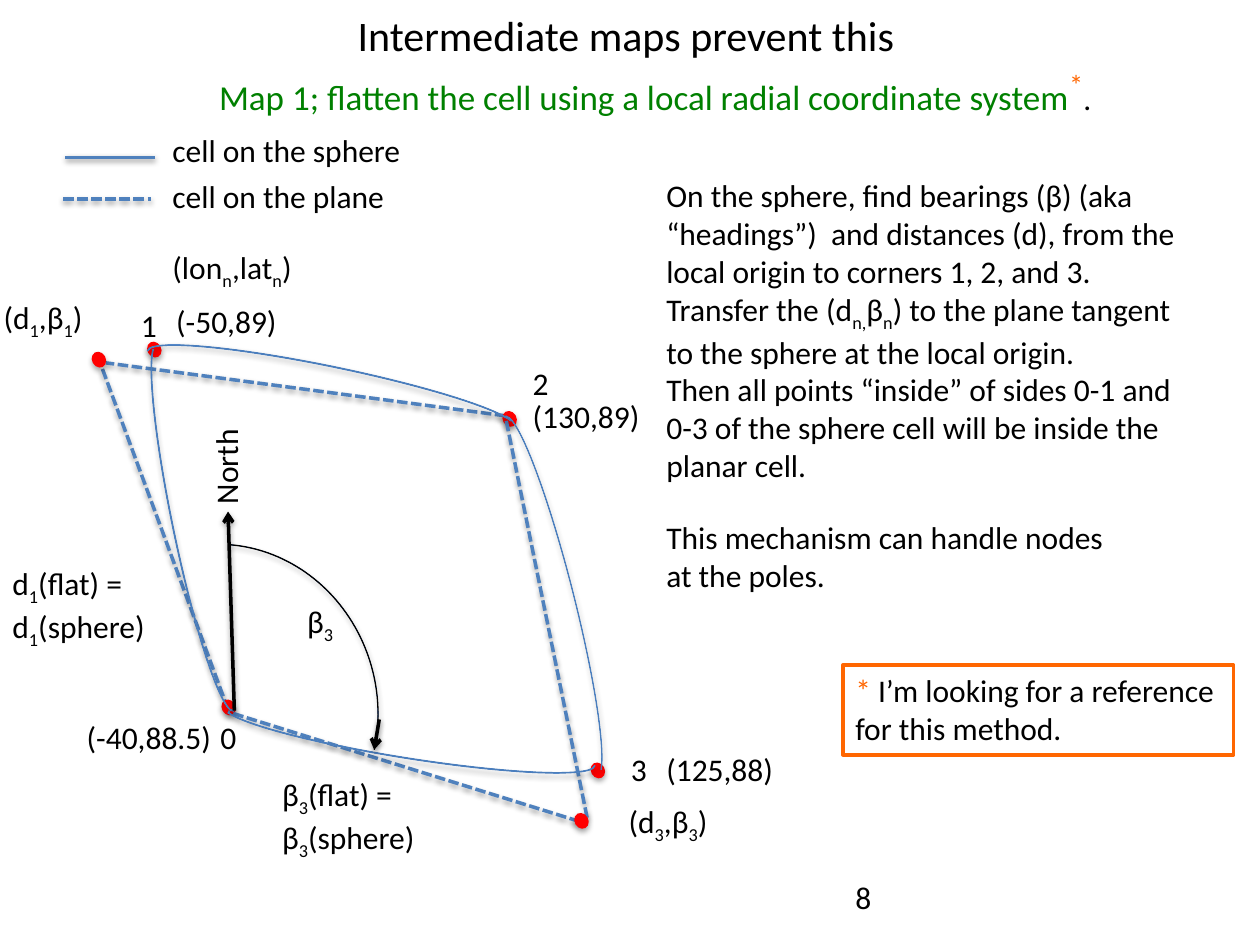
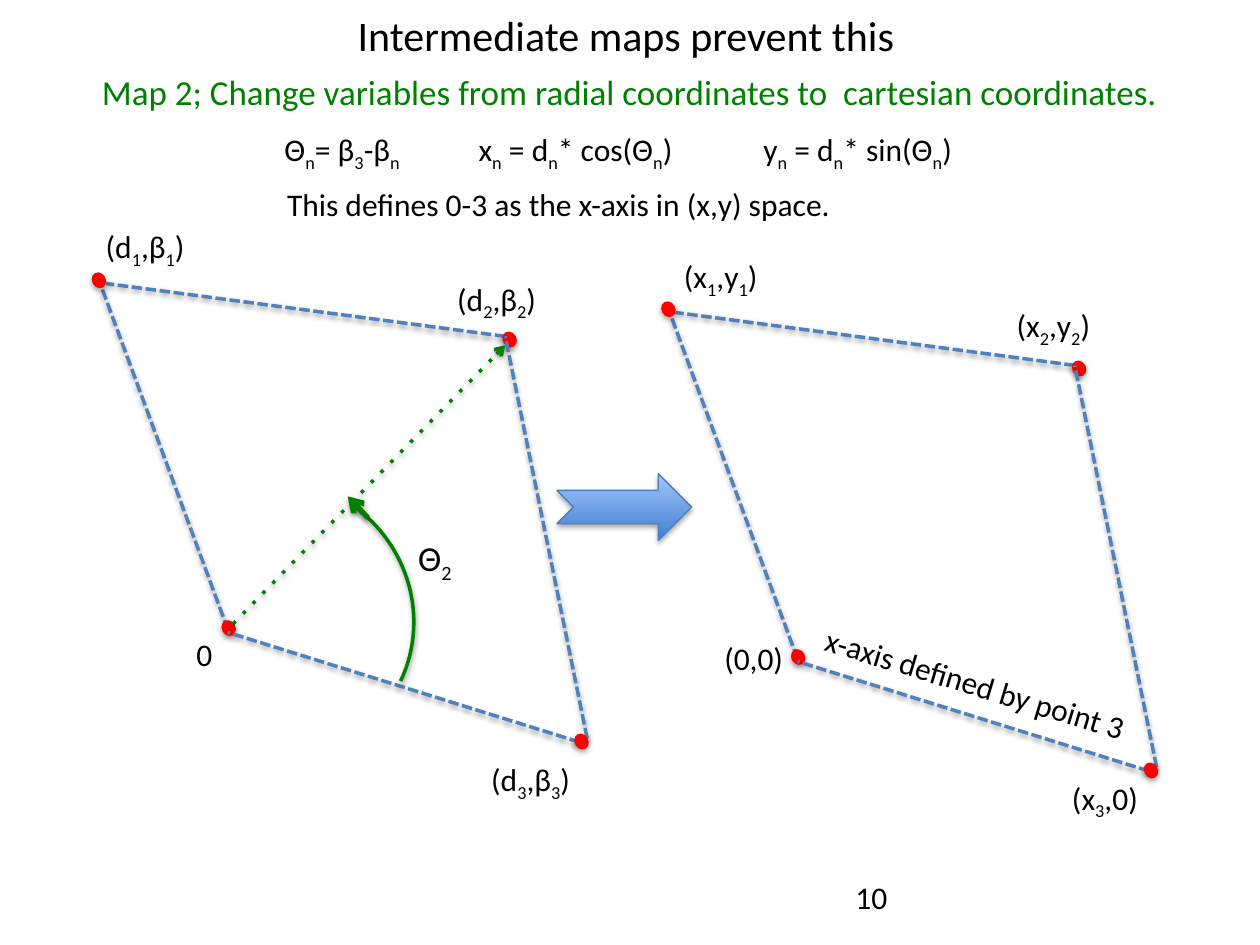
from lxml.etree import SubElement
from pptx import Presentation
from pptx.dml.color import RGBColor
from pptx.enum.shapes import MSO_CONNECTOR as CONNECTOR, MSO_SHAPE as SHAPE
from pptx.enum.text import MSO_AUTO_SIZE as AUTO_SIZE
from pptx.oxml.ns import qn
from pptx.util import Inches, Pt

color = RGBColor.from_string
BLACK, BLUE, GREEN, ORANGE, RED = "000000", "4F81BD", "008000", "FF6600", "FF0000"
EDGE_BLUE, DARK_BLUE, LIGHT_BLUE = "4B7EBC", "3F80CE", "A4C4FF"


def add_text(slide, text, left, top, width, height=0.4, size=18, ink=BLACK,
             wrap=False, grow=True, rotation=0):
    """Add a text box; the character after an underscore is a subscript."""
    box = slide.shapes.add_textbox(Inches(left), Inches(top), Inches(width), Inches(height))
    box.rotation = rotation
    frame = box.text_frame
    frame.word_wrap = wrap
    frame.auto_size = AUTO_SIZE.SHAPE_TO_FIT_TEXT if grow else AUTO_SIZE.NONE
    for number, line in enumerate(text.split("\n")):
        paragraph = frame.add_paragraph() if number else frame.paragraphs[0]
        start, *rest = line.split("_")
        pieces = [(start, False)]
        for part in rest:
            pieces += [(part[0], True), (part[1:], False)]
        for piece, lowered in pieces:
            if piece:
                run = paragraph.add_run()
                run.text = piece
                run.font.name = "Calibri"
                run.font.size = Pt(size)
                run.font.color.rgb = color(ink)
                if lowered:
                    run.font._element.set("baseline", "-25000")
    return box


def style(shape, line=None, width=2, dash=None, arrow=False, fill=None,
          distance=20000, opacity=38000):
    """Set line, fill and the soft shadow of a shape or connector."""
    if line:
        shape.line.color.rgb = color(line)
        shape.line.width = Pt(width)
        outline = shape.element.spPr.find(qn("a:ln"))
        if dash:
            SubElement(outline, qn("a:prstDash"), val=dash)
        if arrow:
            SubElement(outline, qn("a:tailEnd"), type="arrow")
    else:
        shape.line.fill.background()
    if fill == "gradient":
        shape.fill.gradient()
        shape.fill.gradient_angle = 90
        for stop, shade in zip(shape.fill.gradient_stops, (DARK_BLUE, LIGHT_BLUE)):
            stop.color.rgb = color(shade)
    elif fill:
        shape.fill.solid()
        shape.fill.fore_color.rgb = color(fill)
    effects = SubElement(shape.element.spPr, qn("a:effectLst"))
    shadow = SubElement(effects, qn("a:outerShdw"), blurRad="40000", dist=str(distance),
                        dir="5400000", rotWithShape="0")
    black = SubElement(shadow, qn("a:srgbClr"), val=BLACK)
    SubElement(black, qn("a:alpha"), val=str(opacity))


presentation = Presentation()
presentation.slide_width, presentation.slide_height = Inches(10), Inches(7.5)
flatten, change = [presentation.slides.add_slide(presentation.slide_layouts[6])
                   for _ in range(2)]

# Title and page number of both slides
for slide, page in ((flatten, "8"), (change, "10")):
    add_text(slide, "Intermediate maps prevent this", 2.74, 0.03, 4.53, 0.5, size=24)
    add_text(slide, page, 6.69, 6.92, 0.48, wrap=True, grow=False)

# Planar cell: the same dashed outline with corner dots, moved by an offset
upper_sides = [(1.81, 5.63, 0.81, 2.92), (4.01, 3.3, 0.84, 2.88)]
lower_sides = [(4.6, 6.52, 1.81, 5.65), (4.66, 6.49, 4.01, 3.3)]
corners = [(0.72, 2.8), (3.98, 3.27), (1.75, 5.56)]
last_corner = (4.55, 6.46)
sphere_corners = [(1.16, 2.72), (4.68, 6.06)]
for slide, right, down, extra in ((flatten, 0, 0, sphere_corners),
                                  (change, 0, -0.63, []),
                                  (change, 4.52, -0.4, [])):
    for part in upper_sides + corners + extra + lower_sides + [last_corner]:
        x, y = Inches(part[0] + right), Inches(part[1] + down)
        if len(part) == 4:
            side = slide.shapes.add_connector(CONNECTOR.STRAIGHT, x, y,
                                              Inches(part[2] + right), Inches(part[3] + down))
            style(side, line=BLUE, dash="sysDash")
        else:
            dot = slide.shapes.add_shape(SHAPE.OVAL, x, y, Inches(0.13), Inches(0.11))
            dot.rotation = 60.9
            style(dot, fill=RED, distance=23000, opacity=35000)

# Curved shapes: sphere cell sides, bearing arc, angle arc; then the block arrow
side_angles = (108, 215.06, 0.01)
for slide, kind, box, rotation, angles, look in (
        (flatten, SHAPE.BLOCK_ARC, (0.06, 4.01, 2.98, 0.35), 258.2, side_angles, EDGE_BLUE),
        (flatten, SHAPE.BLOCK_ARC, (1.14, 2.91, 2.98, 0.35), 11.7, side_angles, EDGE_BLUE),
        (flatten, SHAPE.BLOCK_ARC, (1.76, 5.67, 2.98, 0.35), 189, side_angles, EDGE_BLUE),
        (flatten, SHAPE.BLOCK_ARC, (2.9, 4.56, 2.95, 0.35), 75.7, (108, 214.93, 0), EDGE_BLUE),
        (flatten, SHAPE.BLOCK_ARC, (0.46, 4.4, 2.62, 2.45), 76, (117.83, 179.39, 0), BLACK),
        (change, SHAPE.ARC, (1, 3.8, 2.29, 2.23), 25.4, (168.84, 0), GREEN),
        (change, SHAPE.NOTCHED_RIGHT_ARROW, (4.42, 3.76, 1.07, 0.53), 0, (), EDGE_BLUE)):
    shape = slide.shapes.add_shape(kind, *[Inches(length) for length in box])
    shape.rotation = rotation
    for index, angle in enumerate(angles):
        shape.adjustments[index] = angle
    if kind == SHAPE.ARC:
        shape.fill.background()
        style(shape, line=look)
    else:
        style(shape, line=look, width=0.75, fill="gradient", distance=23000, opacity=35000)

# Legend lines and arrows
for slide, ends, ink, width, dash, arrow in (
        (flatten, (0.52, 1.25, 1.23, 1.25), BLUE, 2, None, False),
        (flatten, (0.5, 1.58, 1.2, 1.58), BLUE, 2, "sysDash", False),
        (flatten, (1.86, 5.64, 1.81, 4.06), BLACK, 2, None, True),
        (flatten, (3.01, 5.71, 2.97, 5.95), BLACK, 2, None, True),
        (change, (1.85, 4.95, 4.01, 2.74), GREEN, 2, "dot", True),
        (change, (2.92, 4.11, 2.76, 3.94), GREEN, 3, None, True)):
    line = slide.shapes.add_connector(CONNECTOR.STRAIGHT, *[Inches(end) for end in ends])
    style(line, line=ink, width=width, dash=dash, arrow=arrow)

# Subtitles; the first ends with an orange footnote star
subtitle = add_text(flatten, "Map 1; flatten the cell using a local radial coordinate system_*.",
                    1.64, 0.44, 7.23, 0.44, size=20, ink=GREEN)
star, period = subtitle.text_frame.paragraphs[0].runs[1:]
star.font.size, star.font.color.rgb = Pt(28), color(ORANGE)
star.font._element.set("baseline", "30000")
period.font.size, period.font.color.rgb = Pt(18), color(BLACK)
add_text(change, "Map 2; Change variables from radial coordinates to  cartesian coordinates.",
         0.71, 0.51, 8.69, 0.44, size=20, ink=GREEN)

# Explanations beside the first cell
add_text(flatten, "On the sphere, find bearings (β) (aka “headings”)  and distances (d), "
         "from the local origin to corners 1, 2, and 3.\n"
         "Transfer the (d_n_,β_n) to the plane tangent to the sphere at the local origin.\n"
         "Then all points “inside” of sides 0-1 and 0-3 of the sphere cell will be "
         "inside the planar cell.", 5.19, 1.35, 4.26, 2.52, wrap=True)
add_text(flatten, "This mechanism can handle nodes at the poles.",
         5.19, 4.06, 3.77, 0.71, wrap=True)

# Framed footnote
footnote = add_text(flatten, "_* I’m looking for a reference for this method.",
                    6.69, 5.28, 3.1, 0.71, wrap=True)
footnote.line.color.rgb = color(ORANGE)
footnote.line.width = Pt(2.25)
star = footnote.text_frame.paragraphs[0].runs[0]
star.font.color.rgb = color(ORANGE)
star.font._element.set("baseline", "0")

# Labels of the first slide
for text, left, top, width in (
        ("cell on the sphere", 1.27, 0.99, 2.38), ("cell on the plane", 1.27, 1.36, 1.9),
        ("1", 1.02, 2.38, 0.33), ("2", 4.13, 2.84, 0.33), ("3", 4.91, 5.9, 0.33),
        ("(-50,89)", 1.3, 2.35, 1.09), ("(-40,88.5)", 0.59, 5.65, 1.3),
        ("(125,88)", 5.19, 5.9, 1.14), ("(130,89)", 4.13, 3.1, 1.14),
        ("(lon_n,lat_n)", 1.27, 1.92, 1.18), ("(d_1,β_1)", -0.07, 2.32, 0.89),
        ("(d_3,β_3)", 4.89, 6.32, 0.89), ("β_3", 2.34, 4.73, 0.43),
        ("β_3(flat) =\nβ_3(sphere)", 2.14, 6.1, 1.28)):
    add_text(flatten, text, left, top, width)
add_text(flatten, "0", 1.65, 5.65, 0.23, wrap=True)
add_text(flatten, "d_1(flat) = d_1(sphere)", 0, 4.43, 1.52, 0.71, wrap=True)
add_text(flatten, "North", 1.39, 3.5, 0.8, rotation=270)

# Formulas and labels of the second slide
for text, left, top, width in (
        ("Θ_n= β_3-β_n", 2.16, 0.98, 1.16), ("x_n = d_n* cos(Θ_n)", 3.7, 0.98, 1.79),
        ("y_n = d_n* sin(Θ_n)", 5.96, 0.98, 1.75),
        ("This defines 0-3 as the x-axis in (x,y) space.", 2.18, 1.42, 4.57),
        ("(d_1,β_1)", 0.74, 1.75, 0.89), ("(d_2,β_2)", 3.53, 2.17, 0.89),
        ("(d_3,β_3)", 3.8, 5.98, 0.89), ("(x_1,y_1)", 5.33, 1.99, 0.81),
        ("(x_2,y_2)", 7.97, 2.38, 0.81), ("(x_3,0)", 8.41, 6.13, 0.74),
        ("(0,0)", 5.65, 5.02, 0.67)):
    add_text(change, text, left, top, width)
add_text(change, "0", 1.46, 4.99, 0.23, wrap=True)
add_text(change, "Θ_2", 3.22, 4.21, 0.48, 0.44, size=20)
add_text(change, "x-axis defined by point 3", 6.41, 5.23, 2.7, rotation=16.8)

presentation.save("out.pptx")
